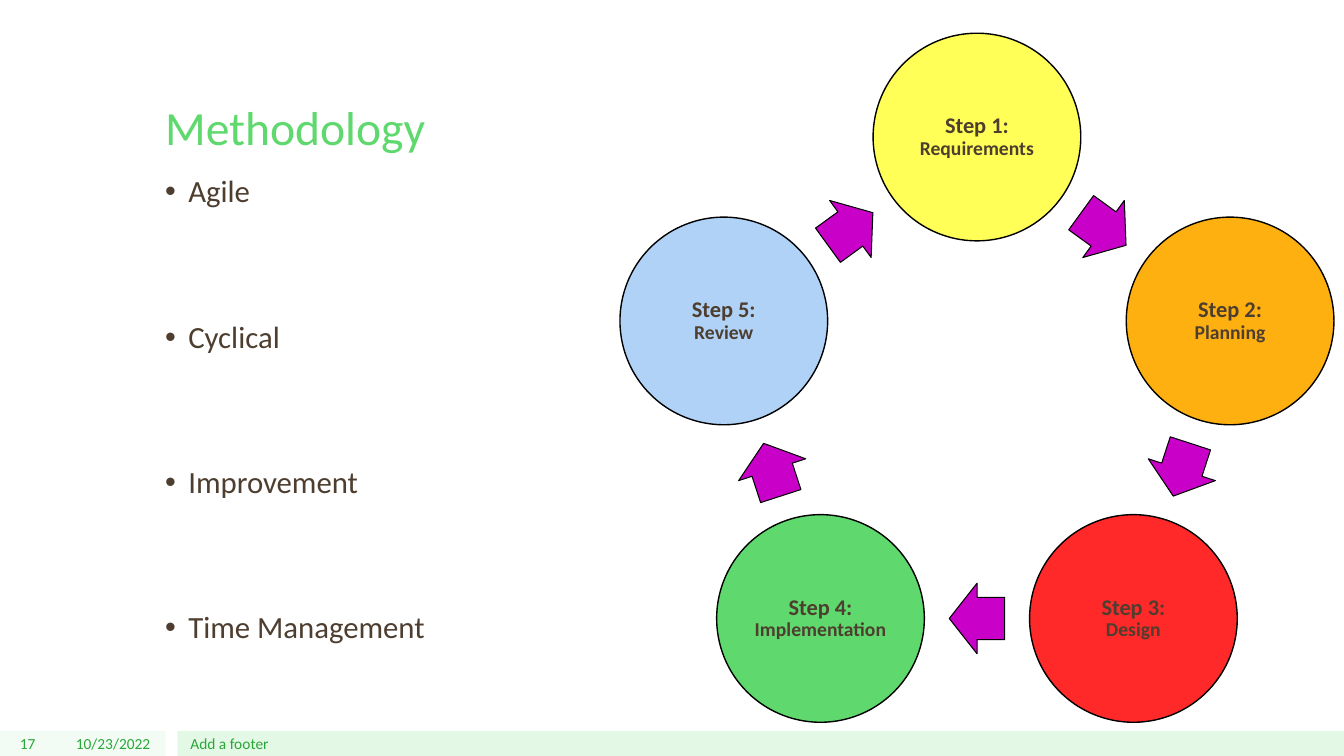
import math

from lxml import etree
from pptx import Presentation
from pptx.dml.color import RGBColor
from pptx.enum.shapes import MSO_SHAPE
from pptx.enum.text import MSO_ANCHOR, PP_ALIGN
from pptx.oxml import ns
from pptx.util import Inches, Pt

FONT = "Calibri"
GREEN = RGBColor(0x5F, 0xD8, 0x6E)
DARK_GREEN = RGBColor(0x29, 0xA6, 0x38)
PALE_GREEN = RGBColor(0xF3, 0xFC, 0xF4)
LIGHT_GREEN = RGBColor(0xE4, 0xF8, 0xE6)
BROWN = RGBColor(0x4D, 0x3E, 0x2F)
PURPLE = RGBColor(0xC8, 0x00, 0xC8)
BLACK = RGBColor(0x00, 0x00, 0x00)
YELLOW = RGBColor(0xFF, 0xFF, 0x57)
ORANGE = RGBColor(0xFF, 0xB0, 0x11)
RED = RGBColor(0xFF, 0x29, 0x29)
BLUE = RGBColor(0xAF, 0xD2, 0xF6)

BULLETS = ["Agile", "Cyclical", "Improvement", "Time Management"]
STEPS = [
    ("Requirements", YELLOW),
    ("Planning", ORANGE),
    ("Design", RED),
    ("Implementation", GREEN),
    ("Review", BLUE),
]

# Geometry of the cycle, in inches
CENTER_X, CENTER_Y, RADIUS = 9.69, 4.0, 2.64
CIRCLE_SIZE = 2.06
ARROW_LENGTH, ARROW_WIDTH = 0.55, 0.7
TURN = 360 / len(STEPS)


def style_font(font, size, color, bold=False):
    font.name = FONT
    font.size = Pt(size)
    font.bold = bold
    font.color.rgb = color


def add_filled(slide, kind, left, top, width, height, fill, line_width=None):
    shape = slide.shapes.add_shape(
        kind, Inches(left), Inches(top), Inches(width), Inches(height))
    shape.shadow.inherit = False
    shape.fill.solid()
    shape.fill.fore_color.rgb = fill
    if line_width is None:
        shape.line.fill.background()
    else:
        shape.line.color.rgb = BLACK
        shape.line.width = Pt(line_width)
    return shape


def add_label(slide, left, top, width, height, label, size, color,
              anchor=MSO_ANCHOR.MIDDLE, align=PP_ALIGN.LEFT):
    frame = slide.shapes.add_textbox(
        Inches(left), Inches(top), Inches(width), Inches(height)).text_frame
    frame.word_wrap = True
    frame.vertical_anchor = anchor
    paragraph = frame.paragraphs[0]
    paragraph.text = label
    paragraph.alignment = align
    style_font(paragraph.font, size, color)


def add_bullets(slide, left, top, width, height, items):
    frame = slide.shapes.add_textbox(
        Inches(left), Inches(top), Inches(width), Inches(height)).text_frame
    frame.word_wrap = True
    for index, item in enumerate(items):
        paragraph = frame.add_paragraph() if index else frame.paragraphs[0]
        paragraph.text = item
        paragraph.line_spacing = 0.9
        if index:
            paragraph.space_before = Pt(80)
        properties = paragraph._p.get_or_add_pPr()
        properties.set("marL", str(Inches(0.23)))
        properties.set("indent", str(-Inches(0.23)))
        etree.SubElement(properties, ns.qn("a:buFont"), typeface="Arial")
        etree.SubElement(properties, ns.qn("a:buChar"), char="•")
        style_font(paragraph.font, 22, BROWN)


def ring_point(position):
    angle = math.radians(position * TURN)
    return (CENTER_X + RADIUS * math.sin(angle),
            CENTER_Y - RADIUS * math.cos(angle))


def add_step(slide, position, name, fill):
    x, y = ring_point(position)
    circle = add_filled(slide, MSO_SHAPE.OVAL, x - CIRCLE_SIZE / 2,
                        y - CIRCLE_SIZE / 2, CIRCLE_SIZE, CIRCLE_SIZE, fill, 1)
    frame = circle.text_frame
    frame.word_wrap = True
    frame.vertical_anchor = MSO_ANCHOR.MIDDLE
    frame.margin_left = frame.margin_right = Inches(0.02)
    frame.margin_top = frame.margin_bottom = Inches(0.02)
    paragraph = frame.paragraphs[0]
    paragraph.alignment = PP_ALIGN.CENTER
    paragraph.line_spacing = 0.9
    heading = paragraph.add_run()
    heading.text = f"Step {position + 1}:"
    style_font(heading.font, 16, BROWN, bold=True)
    paragraph.add_line_break()
    caption = paragraph.add_run()
    caption.text = name
    style_font(caption.font, 14, BROWN, bold=True)


def add_step_arrow(slide, position):
    """Arrow halfway between one step and the next."""
    (x1, y1), (x2, y2) = ring_point(position), ring_point(position + 1)
    arrow = add_filled(slide, MSO_SHAPE.RIGHT_ARROW,
                       (x1 + x2 - ARROW_LENGTH) / 2,
                       (y1 + y2 - ARROW_WIDTH) / 2,
                       ARROW_LENGTH, ARROW_WIDTH, PURPLE, 0.75)
    arrow.adjustments[0] = 0.6
    arrow.adjustments[1] = 0.5
    arrow.rotation = (position + 0.5) * TURN


def main():
    presentation = Presentation()
    presentation.slide_width = Inches(13.33)
    presentation.slide_height = Inches(7.5)
    slide = presentation.slides.add_slide(presentation.slide_layouts[6])

    # Footer bands
    add_filled(slide, MSO_SHAPE.RECTANGLE, 0, 7.25, 1.64, 0.25, PALE_GREEN)
    add_filled(slide, MSO_SHAPE.RECTANGLE, 1.76, 7.25, 11.57, 0.25, LIGHT_GREEN)

    # Title and key points
    add_label(slide, 1.54, 0.3, 10.25, 1.29, "Methodology", 34, GREEN,
              anchor=MSO_ANCHOR.BOTTOM)
    add_bullets(slide, 1.54, 1.7, 5.04, 5.05, BULLETS)

    # Cycle of steps
    for position, (name, fill) in enumerate(STEPS):
        add_step(slide, position, name, fill)
        add_step_arrow(slide, position)

    # Footer text
    for left, width, label, align in [
        (0, 0.45, "17", PP_ALIGN.RIGHT),
        (0.5, 1.09, "10/23/2022", PP_ALIGN.RIGHT),
        (1.79, 10, "Add a footer", PP_ALIGN.LEFT),
    ]:
        add_label(slide, left, 7.25, width, 0.25, label, 11, DARK_GREEN,
                  align=align)

    presentation.save("out.pptx")


if __name__ == "__main__":
    main()
